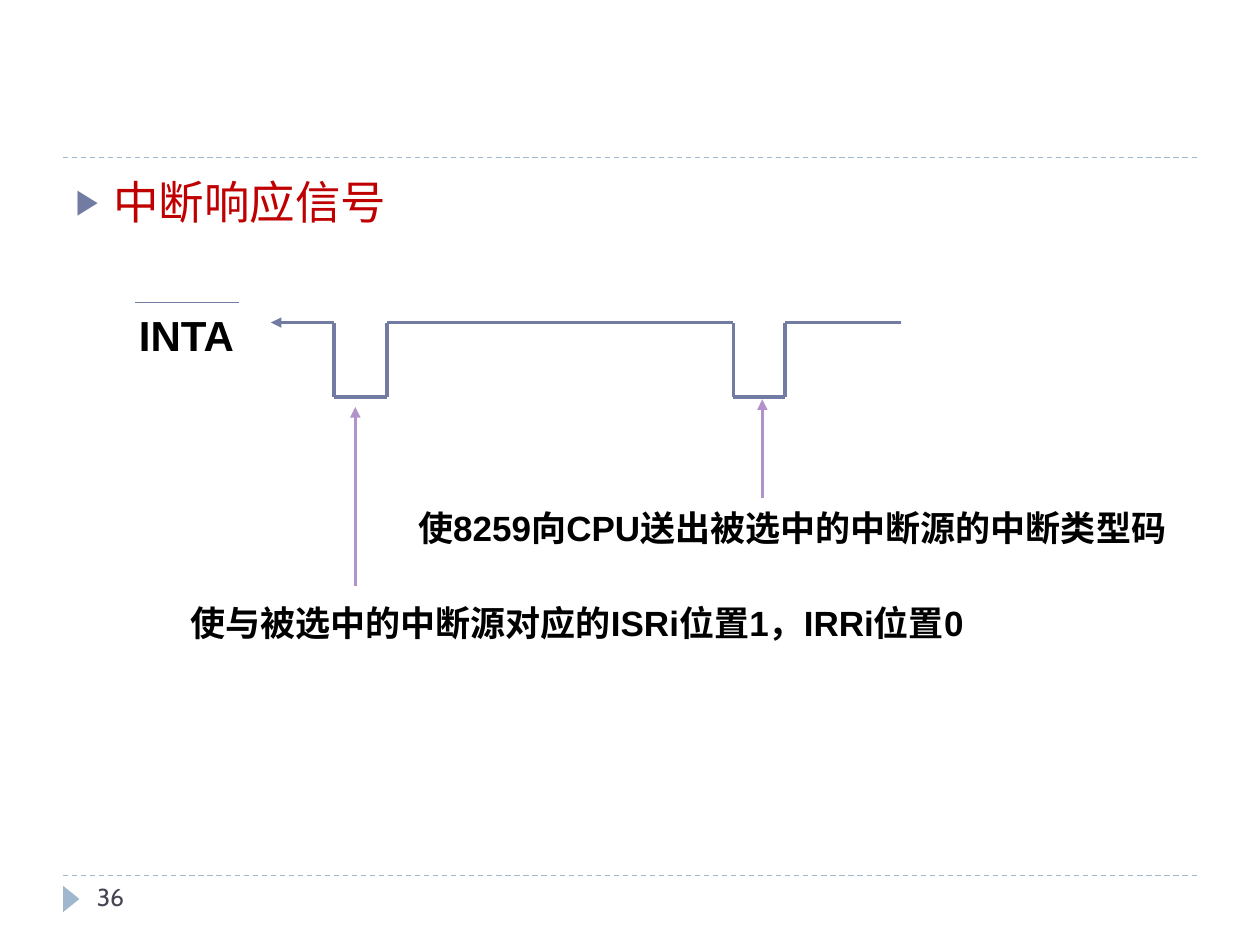
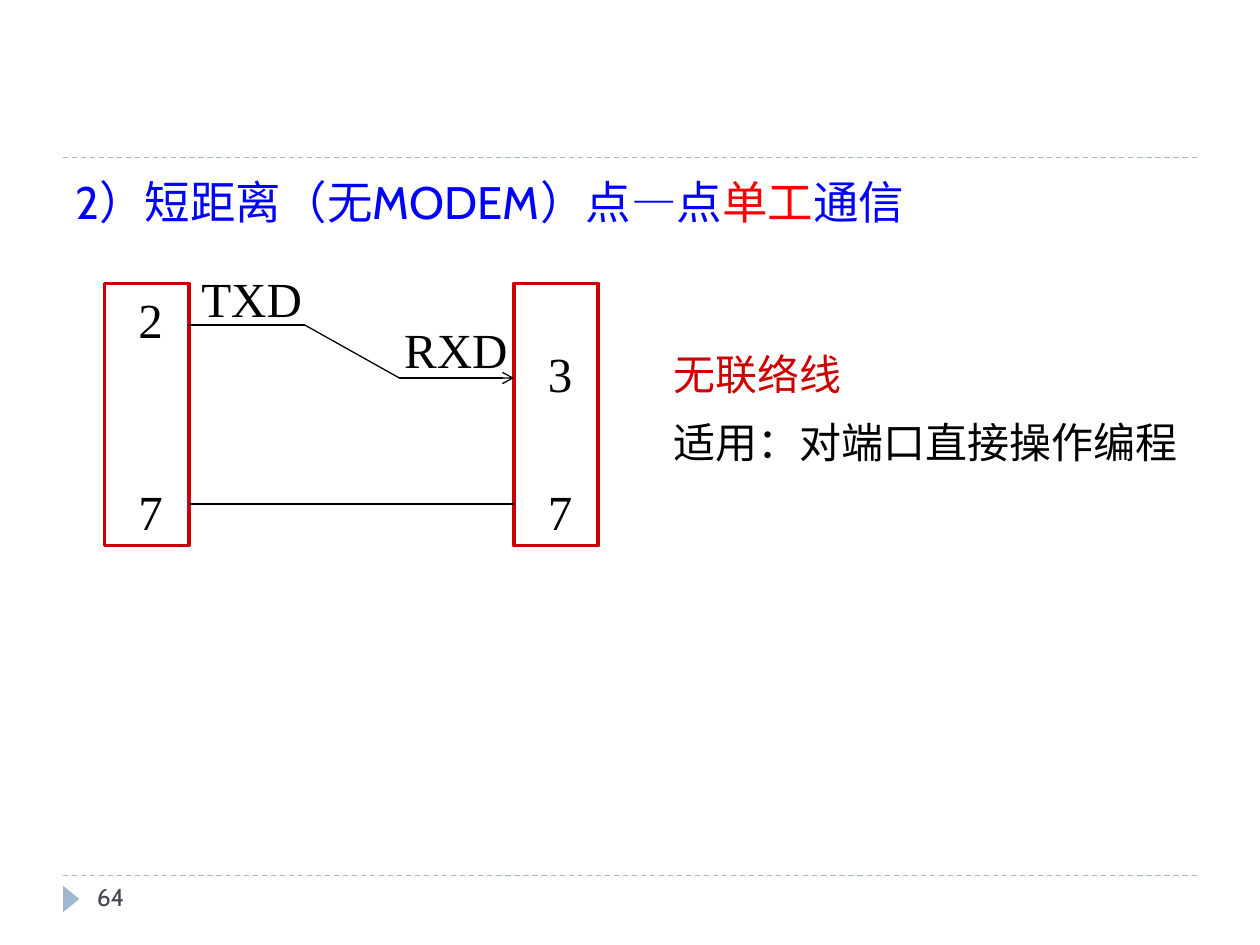
from dataclasses import dataclass
from itertools import pairwise

from lxml import etree
from pptx import Presentation
from pptx.dml.color import RGBColor
from pptx.enum.dml import MSO_LINE
from pptx.enum.shapes import MSO_CONNECTOR, MSO_SHAPE
from pptx.enum.text import MSO_ANCHOR, MSO_AUTO_SIZE, PP_ALIGN
from pptx.oxml.ns import qn
from pptx.util import Inches, Pt

STRAIGHT = MSO_CONNECTOR.STRAIGHT
TRIANGLE, RECTANGLE = MSO_SHAPE.ISOSCELES_TRIANGLE, MSO_SHAPE.RECTANGLE
DASH = MSO_LINE.DASH
TOP = MSO_ANCHOR.TOP
FIT_SHAPE, NO_FIT = MSO_AUTO_SIZE.SHAPE_TO_FIT_TEXT, MSO_AUTO_SIZE.NONE
LEFT, CENTER = PP_ALIGN.LEFT, PP_ALIGN.CENTER


@dataclass(frozen=True)
class Theme:
    rule: str = "9FB8CD"
    signal: str = "727CA3"
    callout: str = "B292CA"
    page: str = "464653"
    ink: str = "000000"
    topic: str = "C00000"
    port: str = "CC0000"
    heading: str = "0000FF"
    accent: str = "FF0000"
    sans: str = "Arial"
    serif: str = "Times New Roman"
    body: str = "Cabin"
    heading_size: int = 26
    pin_size: int = 28
    label_size: int = 24
    note_size: int = 20
    page_size: int = 14
    thin: float = 0.75
    thick: float = 2
    border: float = 2.25


THEME = Theme()
SIGNAL_LABEL = dict(name=THEME.sans, size=THEME.label_size, color=THEME.ink, bold=True)
CALLOUT = SIGNAL_LABEL | dict(size=THEME.note_size)
PIN = dict(name=THEME.serif, size=THEME.pin_size, color=THEME.ink)
REMARK = PIN | dict(size=THEME.label_size)
PAGE = dict(name=THEME.body, size=THEME.page_size, color=THEME.page)
TOPIC = dict(name=THEME.sans, size=THEME.heading_size, color=THEME.topic)
HEADING = dict(name=THEME.body, size=THEME.heading_size, color=THEME.heading)


def rgb(value):
    return RGBColor.from_string(value)


def inches(values):
    return [Inches(value) for value in values]


def add_run(paragraph, text, style):
    run = paragraph.add_run()
    run.text = text
    values = style | {"size": Pt(style["size"])}
    run.font.color.rgb = rgb(values.pop("color"))
    for attribute, value in values.items():
        setattr(run.font, attribute, value)


def add_label(slide, box, lines, wrap=True, align=LEFT, spacing=1.0):
    """Add a text box; lines holds a (text, style) pair per paragraph."""
    frame = slide.shapes.add_textbox(*inches(box)).text_frame
    frame_format = {"word_wrap": wrap, "auto_size": FIT_SHAPE, "vertical_anchor": TOP}
    for attribute, value in frame_format.items():
        setattr(frame, attribute, value)
    for index, (text, style) in enumerate(lines):
        paragraph = frame.add_paragraph() if index else frame.paragraphs[0]
        paragraph.alignment, paragraph.line_spacing = align, spacing
        add_run(paragraph, text, style)


def add_path(slide, points, color, width, arrow=None, dash=None):
    """Join the points with straight lines; an arrowhead sits at the last one."""
    for start, end in pairwise(points):
        line = slide.shapes.add_connector(STRAIGHT, *inches(start + end))
        line.line.color.rgb = rgb(color)
        line.line.width = Pt(width)
        if dash:
            line.line.dash_style = dash
        properties = line._element.spPr
        if arrow and end == points[-1]:
            outline = properties.find(qn("a:ln"))
            etree.SubElement(outline, qn("a:tailEnd"), type=arrow)
        etree.SubElement(properties, qn("a:effectLst"))


def add_port(slide, box):
    port = slide.shapes.add_shape(RECTANGLE, *inches(box))
    port.shadow.inherit = False
    port.fill.background()
    port.line.color.rgb = rgb(THEME.port)
    port.line.width = Pt(THEME.border)


def set_bullet(paragraph, indent=0.0, mark=None):
    properties = paragraph._p.get_or_add_pPr()
    properties.set("marL", str(Inches(indent)))
    properties.set("indent", str(Inches(-indent)))
    if mark is None:
        etree.SubElement(properties, qn("a:buNone"))
        return
    color = etree.SubElement(properties, qn("a:buClr"))
    etree.SubElement(color, qn("a:srgbClr"), val=THEME.signal)
    etree.SubElement(properties, qn("a:buSzPct"), val="76000")
    etree.SubElement(properties, qn("a:buFont"), typeface=THEME.sans)
    etree.SubElement(properties, qn("a:buChar"), char=mark)


def fill_body(slide, runs, **bullet):
    body = slide.placeholders[1]
    body.left, body.top, body.width, body.height = inches((0.5, 1.33, 9, 5.4))
    body.text_frame.auto_size = NO_FIT
    body.text_frame.vertical_anchor = TOP
    paragraph = body.text_frame.paragraphs[0]
    set_bullet(paragraph, **bullet)
    paragraph.space_before = Pt(0)
    for text, style in runs:
        add_run(paragraph, text, style)


def add_framed_slide(deck, page):
    """Add a slide with its dashed rules, page marker and page number."""
    slide = deck.slides.add_slide(deck.slide_layouts[1])
    title = slide.shapes.title._element
    title.getparent().remove(title)
    for y in (6.95, 1.25):
        add_path(slide, [(0.5, y), (9.5, y)], THEME.rule, THEME.thin, dash=DASH)
    marker = slide.shapes.add_shape(TRIANGLE, *inches((0.46, 7.07, 0.21, 0.13)))
    marker.rotation = 90
    marker.shadow.inherit = False
    marker.fill.solid()
    marker.fill.fore_color.rgb = rgb(THEME.rule)
    marker.line.fill.background()
    add_label(slide, (0.67, 6.95, 2.17, 0.4), [(page, PAGE)])
    return slide


def build_interrupt_slide(deck):
    slide = add_framed_slide(deck, "36")
    fill_body(slide, [("中断响应信号", TOPIC)], indent=0.3, mark="▶")

    add_path(slide, [(1.07, 2.4), (1.9, 2.4)], THEME.signal, THEME.thin)
    add_label(slide, (0.98, 2.33, 1, 0.59), [("INTA", SIGNAL_LABEL)],
              wrap=False, align=CENTER, spacing=1.2)

    high, low = 2.56, 3.15
    waveform = [(7.15, high)]
    for fall, rise in ((5.82, 6.23), (2.65, 3.07)):
        waveform += [(rise, high), (rise, low), (fall, low), (fall, high)]
    waveform.append((2.15, high))
    add_path(slide, waveform, THEME.signal, THEME.thick, arrow="triangle")

    callouts = [
        (6.05, 3.95, 3.17, (3.22, 3.9, 6.16, 0.48),
         "使8259向CPU送出被选中的中断源的中断类型码"),
        (2.82, 4.65, 3.23, (1.41, 4.66, 6.62, 0.5),
         "使与被选中的中断源对应的ISRi位置1，IRRi位置0"),
    ]
    for x, bottom, tip, box, text in callouts:
        add_path(slide, [(x, bottom), (x, tip)], THEME.callout, THEME.thick, arrow="triangle")
        add_label(slide, box, [(text, CALLOUT)], spacing=1.2)


def build_simplex_slide(deck):
    slide = add_framed_slide(deck, "64")
    fill_body(slide, [
        ("2）短距离（无MODEM）点—点", HEADING),
        ("单工", HEADING | dict(color=THEME.accent)),
        ("通信", HEADING),
    ])

    sender, receiver, port_width = 0.83, 4.08, 0.67
    sender_edge = sender + port_width
    for x in (sender, receiver):
        add_port(slide, (x, 2.25, port_width, 2.08))

    data_wire = [(sender_edge, 2.58), (2.42, 2.58), (3.17, 3), (receiver, 3)]
    add_path(slide, data_wire, THEME.ink, THEME.thin, arrow="arrow")
    add_path(slide, [(sender_edge, 4), (receiver, 4)], THEME.ink, THEME.thin)

    pins = [("2", sender, 2.25), ("7", sender, 3.77),
            ("3", receiver, 2.68), ("7", receiver, 3.77)]
    for number, x, y in pins:
        add_label(slide, (x + 0.17, y, port_width, 0.57), [(number, PIN)])
    for signal, x, y in (("TXD", 1.5, 2.08), ("RXD", 3.11, 2.49)):
        add_label(slide, (x, y, 1.25, 0.57), [(signal, PIN)])

    add_label(slide, (5.25, 2.58, 4.48, 1.18), [
        ("无联络线", REMARK | dict(color=THEME.port)),
        ("适用：对端口直接操作编程", REMARK),
    ], spacing=1.35)


def main():
    deck = Presentation()
    deck.slide_width, deck.slide_height = Inches(10), Inches(7.5)
    build_interrupt_slide(deck)
    build_simplex_slide(deck)
    deck.save("out.pptx")


if __name__ == "__main__":
    main()
